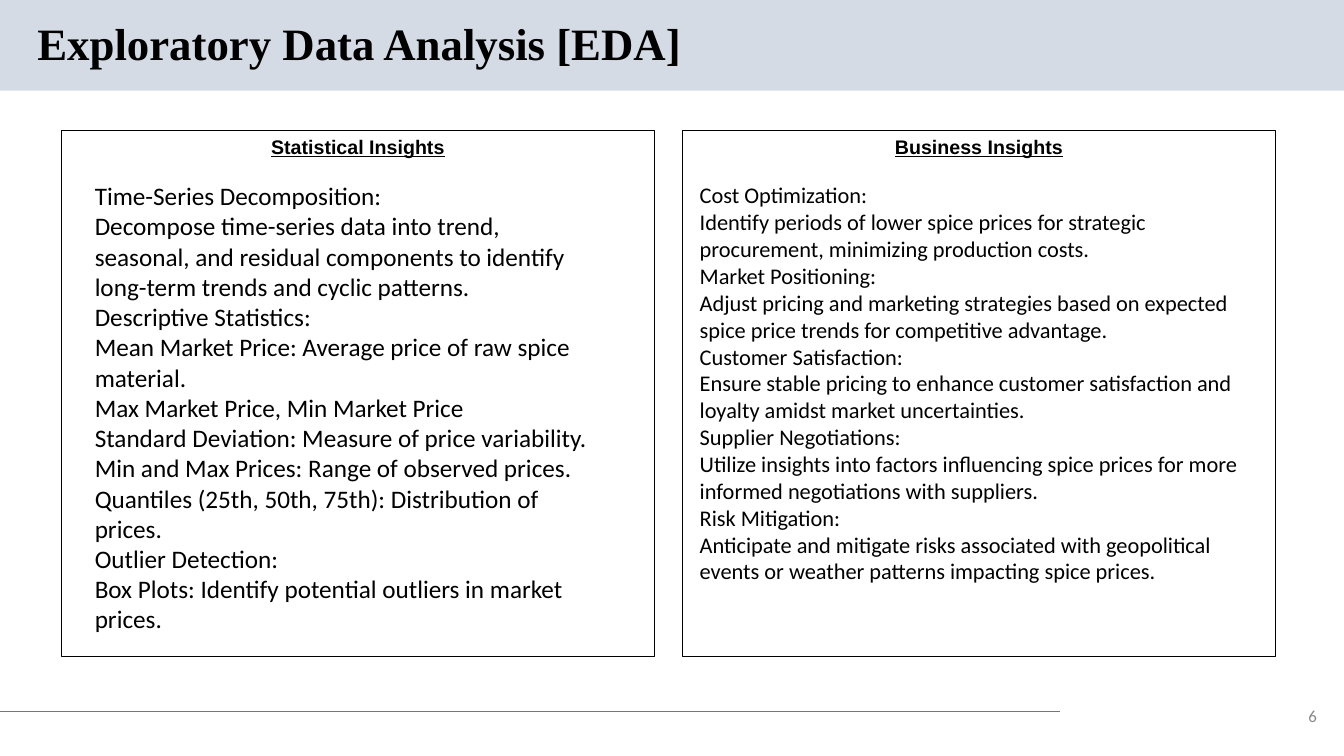
from dataclasses import dataclass

from lxml.etree import SubElement
from pptx import Presentation
from pptx.dml.color import RGBColor
from pptx.enum.shapes import MSO_CONNECTOR, MSO_SHAPE
from pptx.enum.text import MSO_ANCHOR, MSO_AUTO_SIZE, PP_ALIGN
from pptx.oxml.ns import qn
from pptx.util import Inches, Pt


@dataclass(frozen=True)
class Theme:
    ink: str = "000000"
    band: str = "D5DBE5"
    rule: str = "767676"
    muted: str = "888888"
    title_font: str = "Times New Roman"
    heading_font: str = "Arial"
    body_font: str = "Calibri"
    title_size: int = 32
    heading_size: int = 14
    number_size: int = 12
    line_width: float = 0.75


class SlideBuilder:
    """Places elements on one slide; lengths are percentages of its size."""

    def __init__(self, deck, layout, theme):
        self.deck, self.theme = deck, theme
        self.slide = deck.slides.add_slide(layout)

    def across(self, share):
        return round(self.deck.slide_width * share / 100)

    def down(self, share):
        return round(self.deck.slide_height * share / 100)

    def area(self, left, top, width, height):
        return self.across(left), self.down(top), self.across(width), self.down(height)

    def box(self, area, fill=None, line=None):
        box = self.slide.shapes.add_shape(MSO_SHAPE.RECTANGLE, *self.area(*area))
        box.shadow.inherit = False
        if fill:
            box.fill.solid()
            box.fill.fore_color.rgb = RGBColor.from_string(fill)
        else:
            box.fill.background()
        if line:
            box.line.color.rgb = RGBColor.from_string(line)
            box.line.width = Pt(self.theme.line_width)
        else:
            box.line.fill.background()
        # Boxes sit behind all text
        self.slide.shapes._spTree.insert(2, box._element)

    def rule(self, start, end, level):
        rule = self.slide.shapes.add_connector(
            MSO_CONNECTOR.STRAIGHT, self.across(start), self.down(level),
            self.across(end), self.down(level))
        rule.line.color.rgb = RGBColor.from_string(self.theme.rule)
        rule.line.width = Pt(self.theme.line_width)
        SubElement(rule._element.spPr, qn("a:effectLst"))

    def set_text(self, holder, area, lines, font, size, color=None, bold=False,
                 underline=False, align=PP_ALIGN.LEFT, anchor=MSO_ANCHOR.TOP,
                 inset=0.05, spacing=1.0):
        holder.left, holder.top, holder.width, holder.height = self.area(*area)
        frame = holder.text_frame
        frame.text = "\n".join(lines)
        frame.word_wrap = True
        frame.auto_size = MSO_AUTO_SIZE.NONE
        frame.vertical_anchor = anchor
        frame.margin_left = frame.margin_right = Inches(0.1)
        frame.margin_top = frame.margin_bottom = Inches(inset)
        for paragraph in frame.paragraphs:
            paragraph.alignment = align
            paragraph.line_spacing = spacing
            paragraph.space_before = paragraph.space_after = Pt(0)
            paragraph.font.name = font
            paragraph.font.size = Pt(size)
            paragraph.font.bold = bold
            paragraph.font.underline = underline
            paragraph.font.color.rgb = RGBColor.from_string(color or self.theme.ink)
            # Plain lines without bullet or indent
            properties = paragraph._p.get_or_add_pPr()
            properties.set("marL", "0")
            properties.set("indent", "0")
            properties.insert_element_before(
                properties.makeelement(qn("a:buNone"), {}),
                "a:tabLst", "a:defRPr", "a:extLst")

    def title(self, text, area):
        self.set_text(self.slide.shapes.title, area, [text], self.theme.title_font,
                      self.theme.title_size, bold=True, anchor=MSO_ANCHOR.MIDDLE,
                      spacing=0.9)

    def panel(self, left, heading, lines, size, body_area, heading_id):
        top, width = 17.2, 44.11
        holders = self.slide.placeholders
        self.box((left, top, width, 69.6), line=self.theme.ink)
        self.set_text(holders[heading_id], (left, top, width, 4.53), [heading],
                      self.theme.heading_font, self.theme.heading_size,
                      bold=True, underline=True, align=PP_ALIGN.CENTER)
        self.set_text(holders[heading_id + 1], body_area, lines,
                      self.theme.body_font, size, inset=0.1)

    def page_number(self, number, area):
        holder = self.slide.shapes.add_textbox(*self.area(*area))
        self.set_text(holder, area, [number], self.theme.body_font,
                      self.theme.number_size, color=self.theme.muted,
                      align=PP_ALIGN.RIGHT, anchor=MSO_ANCHOR.MIDDLE)


STATISTICAL = [
    "Time-Series Decomposition:",
    "Decompose time-series data into trend, seasonal, and residual components "
    "to identify long-term trends and cyclic patterns.",
    "Descriptive Statistics:",
    "Mean Market Price: Average price of raw spice material.",
    "Max Market Price, Min Market Price",
    "Standard Deviation: Measure of price variability.",
    "Min and Max Prices: Range of observed prices.",
    "Quantiles (25th, 50th, 75th): Distribution of prices.",
    "Outlier Detection:",
    "Box Plots: Identify potential outliers in market prices.",
]
BUSINESS = [
    "Cost Optimization:",
    "Identify periods of lower spice prices for strategic procurement, "
    "minimizing production costs.",
    "Market Positioning:",
    "Adjust pricing and marketing strategies based on expected spice price "
    "trends for competitive advantage.",
    "Customer Satisfaction:",
    "Ensure stable pricing to enhance customer satisfaction and loyalty "
    "amidst market uncertainties.",
    "Supplier Negotiations:",
    "Utilize insights into factors influencing spice prices for more informed "
    "negotiations with suppliers.",
    "Risk Mitigation:",
    "Anticipate and mitigate risks associated with geopolitical events or "
    "weather patterns impacting spice prices.",
]


def main():
    deck = Presentation()
    deck.slide_width, deck.slide_height = Inches(13.33), Inches(7.5)
    theme = Theme()
    comparison = deck.slide_layouts.get_by_name("Comparison")
    eda = SlideBuilder(deck, comparison, theme)

    # Header
    eda.box((0, 0, 100, 12), fill=theme.band)
    eda.title("Exploratory Data Analysis [EDA]", (2.03, 2.13, 75.84, 7.87))

    # Insight panels
    eda.panel(4.58, "Statistical Insights", STATISTICAL, 18,
              (6.3, 22.53, 39.01, 71.33), heading_id=1)
    eda.panel(50.79, "Business Insights", BUSINESS, 16,
              (51.31, 22.67, 42.99, 60.13), heading_id=3)

    # Footer
    eda.rule(0, 78.84, 94.13)
    eda.page_number("6", (95.5, 92.53, 3.23, 4.27))

    deck.save("out.pptx")


if __name__ == "__main__":
    main()
